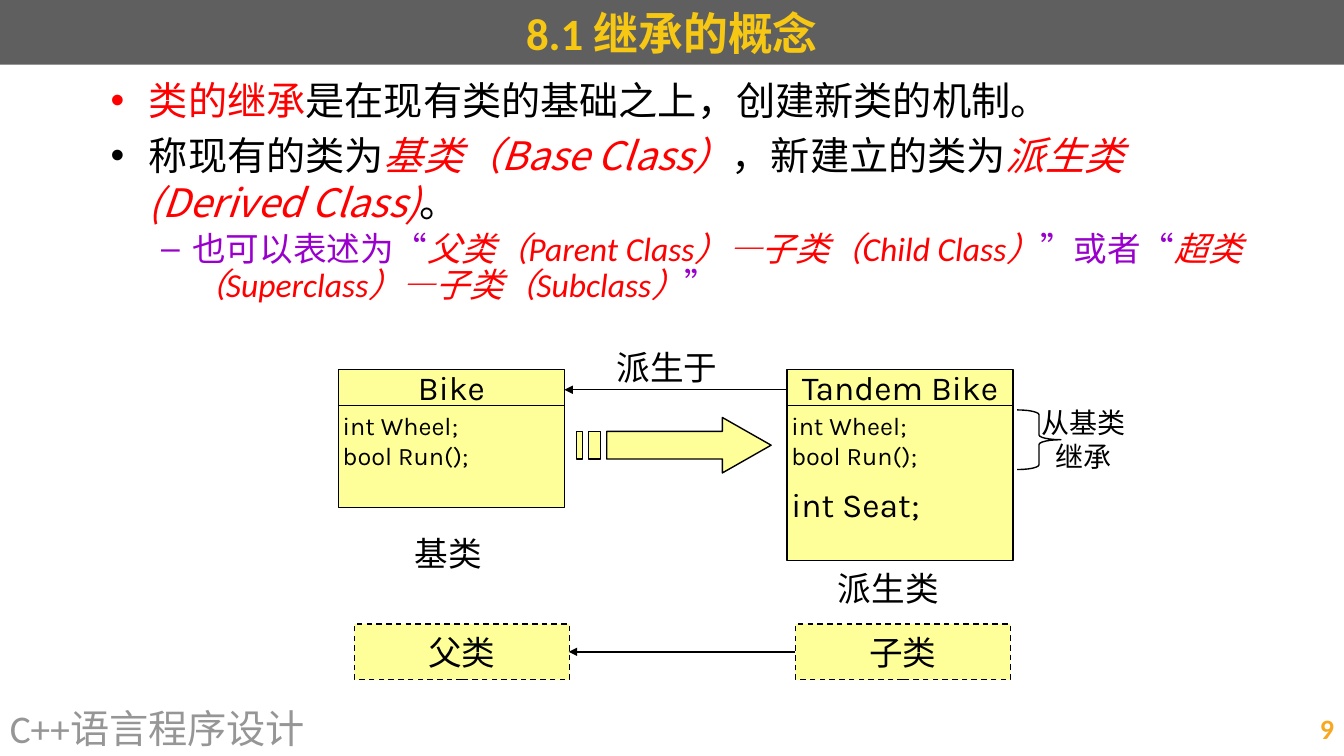
from dataclasses import dataclass
from typing import Optional

import pptx
import pptx.dml.color
import pptx.enum.dml
import pptx.enum.shapes
import pptx.enum.text
import pptx.oxml
import pptx.oxml.ns
import pptx.util

COLUMNS, ROWS = 160, 90
CJK = "Noto Sans CJK SC"
BLACK, RED, PURPLE, YELLOW = "000000", "FF0000", "9900CC", "FFFF99"
LEFT, CENTER, RIGHT = (pptx.enum.text.PP_ALIGN.LEFT, pptx.enum.text.PP_ALIGN.CENTER,
                       pptx.enum.text.PP_ALIGN.RIGHT)
TOP, MIDDLE = pptx.enum.text.MSO_ANCHOR.TOP, pptx.enum.text.MSO_ANCHOR.MIDDLE
PRESET = pptx.enum.shapes.MSO_SHAPE

deck = pptx.Presentation()
deck.slide_width = pptx.util.Inches(13.33)
deck.slide_height = pptx.util.Inches(7.5)
page = deck.slides.add_slide(deck.slide_layouts[6])


@dataclass
class Area:
    """A place on the grid, in columns and rows."""
    left: float
    top: float
    width: float
    height: float


@dataclass
class Span:
    text: str
    color: str = BLACK
    size: float = 24
    font: str = "Karla"
    bold: bool = False
    italic: bool = False


@dataclass
class Para:
    spans: list[Span]
    align: int = LEFT
    bullet: str = ""
    margin: float = 0
    hanging: float = 0
    before: float = 0
    spacing: float = 1


@dataclass
class Panel:
    area: Area
    paras: list[Para]
    fill: Optional[str] = None
    line: bool = False
    dashed: bool = False
    anchor: int = MIDDLE
    inset: tuple[float, float] = (0, 0)


def across(columns: float) -> int:
    return round(deck.slide_width * columns / COLUMNS)


def down(rows: float) -> int:
    return round(deck.slide_height * rows / ROWS)


def place(area: Area) -> tuple[int, int, int, int]:
    return across(area.left), down(area.top), across(area.width), down(area.height)


def rgb(color: str) -> pptx.dml.color.RGBColor:
    return pptx.dml.color.RGBColor.from_string(color)


def apply(target: object, values: dict) -> None:
    for name, value in values.items():
        setattr(target, name, value)


def child(parent, tag: str, **attributes: str):
    node = pptx.oxml.parse_xml(f"<{tag} {pptx.oxml.ns.nsdecls('a')}/>")
    for name, value in attributes.items():
        node.set(name, value)
    parent.append(node)
    return node


def paint(shape, fill: Optional[str], line: bool, dashed: bool = False) -> None:
    shape.shadow.inherit = False
    if fill:
        shape.fill.solid()
        shape.fill.fore_color.rgb = rgb(fill)
    else:
        shape.fill.background()
    if line:
        shape.line.color.rgb = rgb(BLACK)
        shape.line.width = pptx.util.Pt(1)
        if dashed:
            shape.line.dash_style = pptx.enum.dml.MSO_LINE.DASH
    else:
        shape.line.fill.background()


def write(frame, paras: list[Para]) -> None:
    for number, item in enumerate(paras):
        para = frame.add_paragraph() if number else frame.paragraphs[0]
        apply(para, {"alignment": item.align, "line_spacing": item.spacing,
                     "space_before": pptx.util.Pt(item.before)})
        if item.bullet:
            properties = para._p.get_or_add_pPr()
            properties.set("marL", str(pptx.util.Inches(item.margin)))
            properties.set("indent", str(-pptx.util.Inches(item.hanging)))
            child(properties, "a:buFont", typeface="Arial")
            child(properties, "a:buChar", char=item.bullet)
        for piece in item.spans:
            span = para.add_run()
            span.text = piece.text
            apply(span.font, {"size": pptx.util.Pt(piece.size), "name": piece.font,
                              "bold": piece.bold, "italic": piece.italic})
            span.font.color.rgb = rgb(piece.color)
            child(span._r.get_or_add_rPr(), "a:ea", typeface=CJK)


def draw_panel(panel: Panel) -> None:
    if panel.fill:
        box = page.shapes.add_shape(PRESET.RECTANGLE, *place(panel.area))
        paint(box, panel.fill, panel.line, panel.dashed)
    else:
        box = page.shapes.add_textbox(*place(panel.area))
    side, edge = (pptx.util.Inches(value) for value in panel.inset)
    apply(box.text_frame, {"word_wrap": True, "vertical_anchor": panel.anchor,
                           "margin_left": side, "margin_right": side,
                           "margin_top": edge, "margin_bottom": edge})
    write(box.text_frame, panel.paras)


def draw_link(start: float, end: float, row: float) -> None:
    link = page.shapes.add_connector(pptx.enum.shapes.MSO_CONNECTOR.STRAIGHT,
                                     across(start), down(row), across(end), down(row))
    link.line.color.rgb = rgb(BLACK)
    link.line.width = pptx.util.Pt(1)
    child(link.line._get_or_add_ln(), "a:tailEnd", type="triangle")
    child(link._element.spPr, "a:effectLst")


def draw_striped_arrow(area: Area) -> None:
    """The arrow spans 32 units across and 4 units down."""
    contours = [[(24, 0), (24, 1), (5, 1), (5, 3), (24, 3), (24, 4), (32, 2)],
                [(2, 1), (2, 3), (4, 3), (4, 1)],
                [(0, 1), (0, 3), (1, 3), (1, 1)]]
    left, top, width, height = place(area)
    builder = page.shapes.build_freeform(*contours[0][0], scale=(width / 32, height / 4))
    for number, points in enumerate(contours):
        if number:
            builder.move_to(*points[0])
        builder.add_line_segments(points[1:], close=True)
    paint(builder.convert_to_shape(left, top), YELLOW, True)


def label(text: str, size: float = 24, align: int = CENTER) -> Para:
    return Para([Span(text, size=size)], align)


def calibri(text: str, color: str, size: float, align: int = LEFT, bold: bool = False) -> Para:
    return Para([Span(text, color, size, "Calibri", bold)], align)


# Title bar and body text
MARGINS = (0.1, 0.05)
main = {"size": 28, "font": "Calibri"}
term = {"size": 28, "font": CJK, "color": RED, "italic": True}
note = {"font": "Calibri", "color": PURPLE}
alias = {"font": "Calibri", "color": RED, "italic": True}
outer = {"bullet": "•", "margin": 0.38, "hanging": 0.38}
definitions = [
    Para([Span("类的继承", RED, **main), Span("是在现有类的基础之上，创建新类的机制", **main),
          Span("。", size=28, font=CJK)], **outer),
    Para([Span("称现有的类为", **main), Span("基类（Base Class）", **term),
          Span("，", size=28, font=CJK), Span("新建立的类为", **main),
          Span("派生类(Derived Class)", **term), Span("。", size=28, font=CJK)],
         before=5.6, **outer),
    Para([Span("也可以表述为“", **note), Span("父类（Parent Class）—子类（Child Class）", **alias),
          Span("”或者“", **note), Span("超类（Superclass）—子类（Subclass）", **alias),
          Span("”", **note)], bullet="–", margin=0.81, hanging=0.31, before=4.8, spacing=0.9),
]
draw_panel(Panel(Area(0, 0, 160, 7.7), [calibri("8.1 继承的概念", "F6C813", 32, CENTER, True)],
                 "5F5F5F", inset=MARGINS))
draw_panel(Panel(Area(12, 8.5, 140, 54), definitions, anchor=TOP, inset=MARGINS))

# Class boxes: left edge, name, body height, caption and its place
members = [label("int Wheel;", 18, LEFT), label("bool Run();", 18, LEFT)]
for left, name, height, caption, caption_left, caption_top in (
        (40.3, "Bike", 12.2, "基类", 43.2, 63.5),
        (93.7, "Tandem Bike", 18.5, "派生类", 95.6, 67.6)):
    for panel in (Panel(Area(left, 48.25, 26.9, height), [], YELLOW, True),
                  Panel(Area(left, 44, 26.9, 4.25), [label(name)], YELLOW, True),
                  Panel(Area(caption_left, caption_top, 20.3, 4.8), [label(caption)]),
                  Panel(Area(left + 0.5, 48.8, 25.6, 8), members, YELLOW, anchor=TOP)):
        draw_panel(panel)
draw_panel(Panel(Area(94.2, 57.2, 25.9, 5.6), [label("int Seat;", align=LEFT)], YELLOW))

# Derivation arrows
draw_link(93.7, 67.2, 46.4)
draw_panel(Panel(Area(73.4, 41.3, 14.2, 4.8), [label("派生于", align=LEFT)]))
draw_striped_arrow(Area(68.6, 49.7, 23.2, 6.6))

# Parent and child
for left, name in ((42.2, "父类"), (94.7, "子类")):
    draw_panel(Panel(Area(left, 74.3, 25.6, 6.6), [label(name)], YELLOW, True, True))
draw_link(94.7, 67.7, 77.6)

# Brace over the inherited members
brace = page.shapes.add_shape(PRESET.RIGHT_BRACE, *place(Area(121.1, 48.8, 5.2, 7.1)))
brace.adjustments[0] = 0.11
paint(brace, None, True)
draw_panel(Panel(Area(123, 48.3, 12, 8), [label("从基类", 20), label("继承", 20)]))

# Footer
draw_panel(Panel(Area(0, 83.4, 105.4, 6.6), [calibri("C++语言程序设计", "969696", 28)],
                 inset=MARGINS))
draw_panel(Panel(Area(114.7, 83.4, 45.3, 6.6), [calibri("9", "F8A720", 20, RIGHT, True)],
                 inset=MARGINS))

deck.save("out.pptx")
